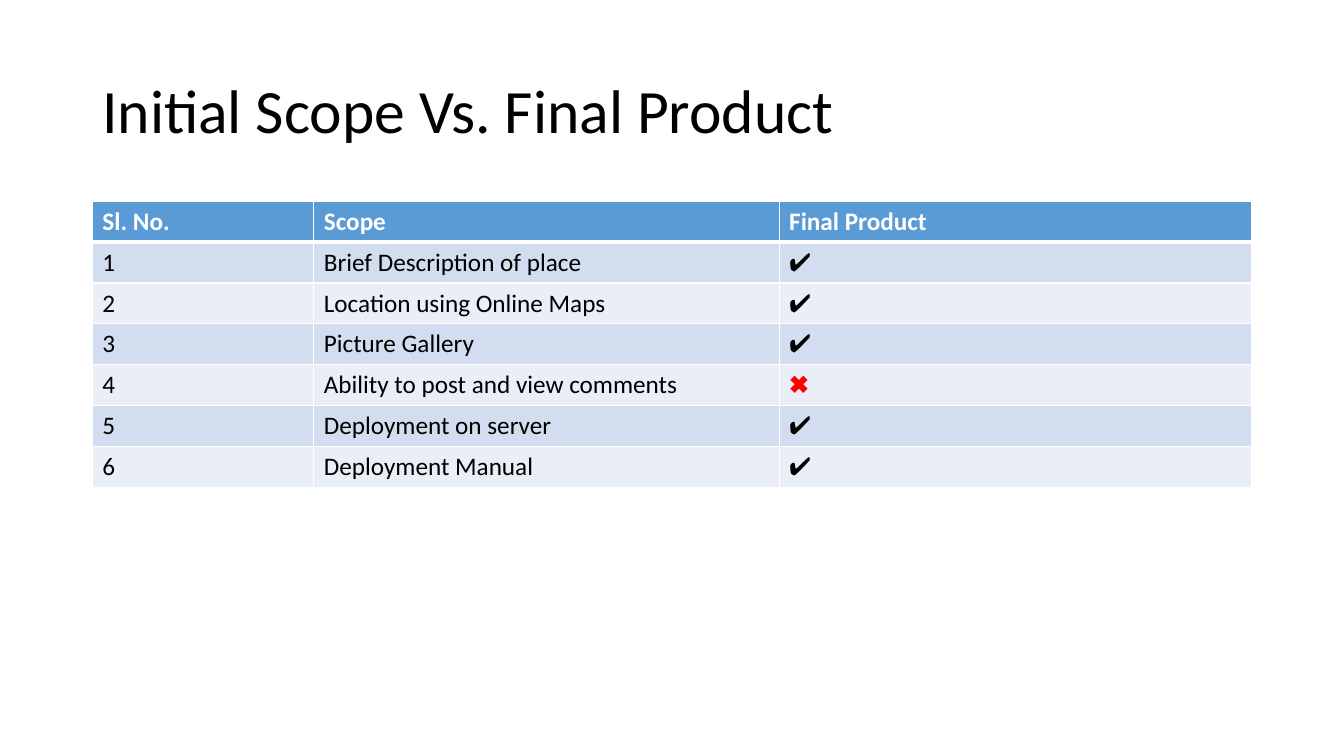
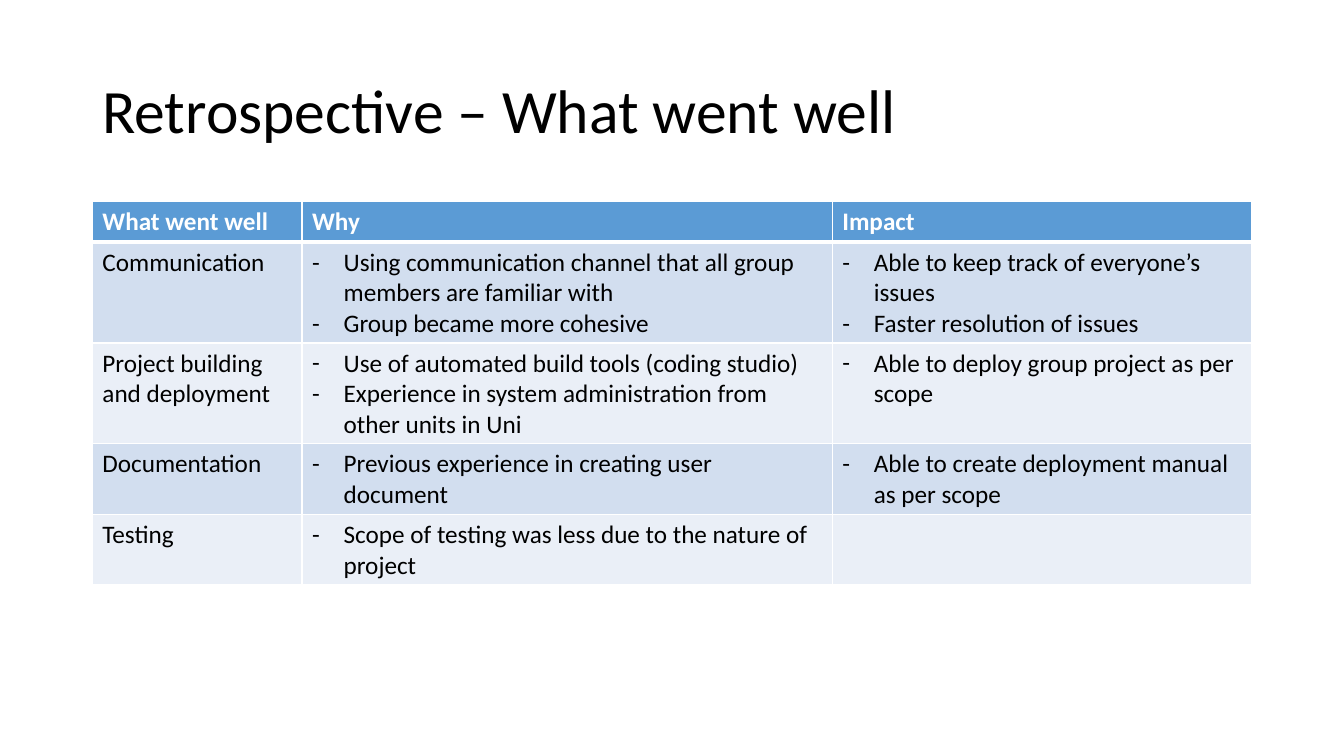
from dataclasses import dataclass
from itertools import product
from lxml.etree import SubElement
from pptx import Presentation
from pptx.dml.color import RGBColor
from pptx.enum.text import MSO_ANCHOR
from pptx.oxml import parse_xml
from pptx.oxml.ns import nsdecls, qn
from pptx.util import Pt


@dataclass(frozen=True)
class Theme:
    font: str = "Calibri"
    title_size: float = 44
    table_size: float = 18
    ink: str = "000000"
    paper: str = "FFFFFF"
    header: str = "5B9BD5"
    bands: tuple = ("D2DEEF", "EAEFF7")
    missing: str = "FF0000"
    thin_rule: float = 1
    header_rule: float = 3


theme = Theme()
LEFT, WIDTH = 66, 828
ROW_HEIGHT = 29.2
BULLET_INDENT = 22.5
DONE, MISSED = "\u2714", "\u2716"


def style_text(paragraph, size, color, bold=False):
    for run in paragraph.runs:
        run.font.name = theme.font
        run.font.size = Pt(size)
        run.font.bold = bold
        run.font.color.rgb = RGBColor.from_string(color)


def style_cell(cell, fill, rules):
    cell.fill.solid()
    cell.fill.fore_color.rgb = RGBColor.from_string(fill)
    properties = cell._tc.get_or_add_tcPr()
    for position, (side, weight) in enumerate(rules.items()):
        properties.insert(position, parse_xml(
            f'<a:ln{side} {nsdecls("a")} w="{Pt(weight)}"><a:solidFill>'
            f'<a:srgbClr val="{theme.paper}"/></a:solidFill></a:ln{side}>'))


scope_items = [
    ("Brief Description of place", DONE),
    ("Location using Online Maps", DONE),
    ("Picture Gallery", DONE),
    ("Ability to post and view comments", MISSED),
    ("Deployment on server", DONE),
    ("Deployment Manual", DONE),
]
scope_rows = [("Sl. No.", "Scope", "Final Product")]
scope_rows += [(str(number), *item) for number, item in enumerate(scope_items, 1)]

retrospective_rows = [
    ("What went well", "Why", "Impact"),
    ("Communication",
     ["Using communication channel that all group members are familiar with",
      "Group became more cohesive"],
     ["Able to keep track of everyone\u2019s issues", "Faster resolution of issues"]),
    ("Project building and deployment",
     ["Use of automated build tools (coding studio)",
      "Experience in system administration from other units in Uni"],
     ["Able to deploy group project as per scope"]),
    ("Documentation",
     ["Previous experience in creating user document"],
     ["Able to create deployment manual as per scope"]),
    ("Testing", ["Scope of testing was less due to the nature of project"], ""),
]

pages = [
    ("Initial Scope Vs. Final Product", (158.2, 332.4, 337.4), 204.4, scope_rows),
    ("Retrospective \u2013 What went well", (149.8, 378.7, 299.5), 274.3,
     retrospective_rows),
]

presentation = Presentation()
presentation.slide_width, presentation.slide_height = Pt(960), Pt(540)

for heading, column_widths, table_height, rows in pages:
    slide = presentation.slides.add_slide(presentation.slide_layouts[6])

    title = slide.shapes.add_textbox(Pt(LEFT), Pt(28.75), Pt(WIDTH), Pt(104.4)).text_frame
    title.word_wrap = True
    title.vertical_anchor = MSO_ANCHOR.MIDDLE
    title.text = heading
    title.paragraphs[0].line_spacing = 0.9
    style_text(title.paragraphs[0], theme.title_size, theme.ink)

    frame = slide.shapes.add_table(len(rows), len(column_widths), Pt(LEFT), Pt(143.75),
                                   Pt(WIDTH), Pt(table_height))
    table = frame.table
    for column, width in zip(table.columns, column_widths):
        column.width = Pt(width)
    for row in table.rows:
        row.height = Pt(ROW_HEIGHT)
    frame.height = Pt(table_height)

    for row_index, column_index in product(range(len(rows)), range(len(column_widths))):
        content = rows[row_index][column_index]
        cell = table.cell(row_index, column_index)
        is_header = row_index == 0
        bulleted = isinstance(content, list)
        cell.text_frame.text = "\n".join(content) if bulleted else content
        fill = theme.header if is_header else theme.bands[(row_index - 1) % 2]
        rules = dict.fromkeys("LRTB", theme.thin_rule)
        if is_header:
            rules["B"] = theme.header_rule
        elif row_index == 1:
            rules["T"] = theme.header_rule
        style_cell(cell, fill, rules)
        color = theme.paper if is_header else theme.missing if content == MISSED else theme.ink
        for paragraph in cell.text_frame.paragraphs:
            style_text(paragraph, theme.table_size, color, is_header)
            if bulleted:
                properties = paragraph._p.get_or_add_pPr()
                properties.set("marL", str(Pt(BULLET_INDENT)))
                properties.set("indent", str(-Pt(BULLET_INDENT)))
                SubElement(properties, qn("a:buFont"), typeface=theme.font)
                SubElement(properties, qn("a:buChar"), char="-")

presentation.save("out.pptx")
